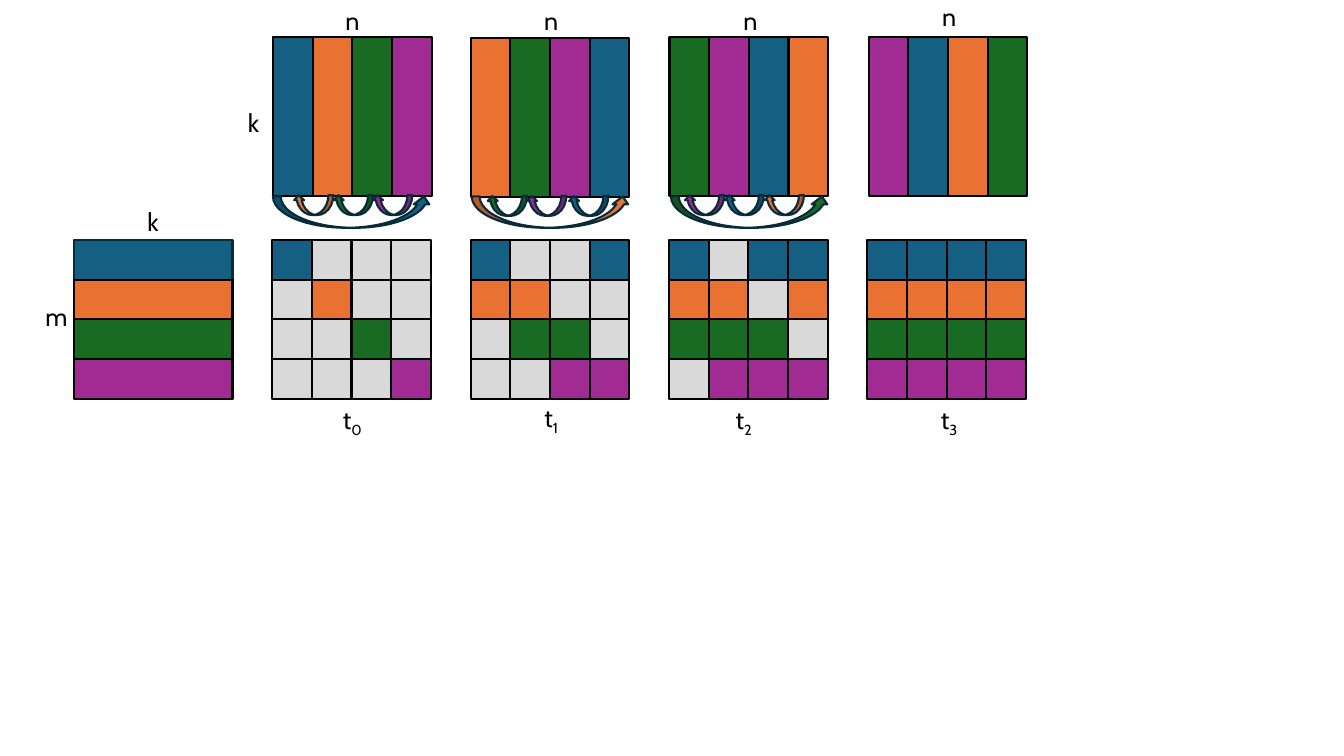
"""Builds a slide showing a ring-shifted block matrix product over four time steps."""
import pptx
import pptx.dml.color
import pptx.enum.shapes
import pptx.enum.text
import pptx.util

PX = 3600
CELL = 100
SIDE = 4 * CELL
GRID_TOP = 605
LABEL_HEIGHT = 102

BLUE = pptx.dml.color.RGBColor(0x15, 0x60, 0x82)
ORANGE = pptx.dml.color.RGBColor(0xE9, 0x71, 0x32)
GREEN = pptx.dml.color.RGBColor(0x19, 0x6B, 0x24)
PURPLE = pptx.dml.color.RGBColor(0xA0, 0x2B, 0x93)
GREY = pptx.dml.color.RGBColor(0xD9, 0xD9, 0xD9)
BLACK = pptx.dml.color.RGBColor(0, 0, 0)
NAVY = pptx.dml.color.RGBColor(0x09, 0x2A, 0x39)
PALETTE = [BLUE, ORANGE, GREEN, PURPLE]

RECTANGLE = pptx.enum.shapes.MSO_SHAPE.RECTANGLE
SHIFT_ARROW = pptx.enum.shapes.MSO_SHAPE.CURVED_LEFT_ARROW
WRAP_ARROW = pptx.enum.shapes.MSO_SHAPE.CURVED_RIGHT_ARROW


def add_block(shapes, kind, left, top, width, height, fill, outline=BLACK, turn=0):
    """Add a filled shape that covers the given area after a quarter turn, if any."""
    if turn:
        left, top = left + (width - height) / 2, top + (height - width) / 2
        width, height = height, width
    frame = [round(length * PX) for length in (left, top, width, height)]
    block = shapes.add_shape(kind, *frame)
    block.rotation = turn
    block.shadow.inherit = False
    block.fill.solid()
    block.fill.fore_color.rgb = fill
    block.line.color.rgb = outline
    block.line.width = pptx.util.Pt(1.5)


def add_label(left, top, text, subscript=""):
    """Add a centred label with an optional subscript."""
    box = page.shapes.add_textbox(left * PX, top * PX, SIDE * PX, LABEL_HEIGHT * PX)
    box.text_frame.word_wrap = True
    box.text_frame.auto_size = pptx.enum.text.MSO_AUTO_SIZE.SHAPE_TO_FIT_TEXT
    para = box.text_frame.paragraphs[0]
    para.text = text
    para.alignment = pptx.enum.text.PP_ALIGN.CENTER
    if subscript:
        span = para.add_run()
        span.text = subscript
        span.font._element.set("baseline", "-25000")
    for span in para.runs:
        span.font.name = "Cabin"
        span.font.size = pptx.util.Pt(18)
        span.font.color.rgb = BLACK


deck = pptx.Presentation()
deck.slide_width = 3387 * PX
deck.slide_height = 1905 * PX
page = deck.slides.add_slide(deck.slide_layouts[6])

left_matrix = page.shapes.add_group_shape()
for row, color in enumerate(PALETTE):
    outline = BLACK if row else NAVY
    add_block(left_matrix.shapes, RECTANGLE, 186, GRID_TOP + row * CELL, SIDE, CELL, color, outline)

for left, top, text in [(439, 259, "k"), (186, 508, "k"), (-58, 747, "m")]:
    add_label(left, top, text)

steps = [
    (688, 94, 688, 0, 688, 1006, [52, 152, 251]),
    (1186, 96, 1189, 0, 1189, 1001, [42, 141, 247]),
    (1687, 94, 1691, 0, 1674, 1006, [38, 138, 239]),
    (2189, 94, 2192, -8, 2192, 1006, []),
]
for step, (strip_left, strip_top, n_left, n_top, t_left, t_top, arrow_offsets) in enumerate(steps):
    strip_colors = PALETTE[step:] + PALETTE[:step]

    strips = page.shapes.add_group_shape()
    for column in reversed(range(4)):
        add_block(strips.shapes, RECTANGLE, strip_left + column * CELL, strip_top,
                  CELL, SIDE, strip_colors[column], turn=90)

    grid = page.shapes.add_group_shape()
    for row in range(4):
        for column in range(4):
            done = (row - column) % 4 <= step
            add_block(grid.shapes, RECTANGLE, 686 + step * 500 + column * CELL,
                      GRID_TOP + row * CELL, CELL, CELL, PALETTE[row] if done else GREY)

    for offset, color in zip(arrow_offsets, strip_colors[1:]):
        add_block(page.shapes, SHIFT_ARROW, strip_left + offset, strip_top + 398,
                  CELL, 50, color, NAVY, 90)
    if arrow_offsets:
        add_block(page.shapes, WRAP_ARROW, n_left, 495, SIDE, 79, strip_colors[0], NAVY, 270)

    add_label(n_left, n_top, "n")
    add_label(t_left, t_top, "t", str(step))

deck.save("out.pptx")
